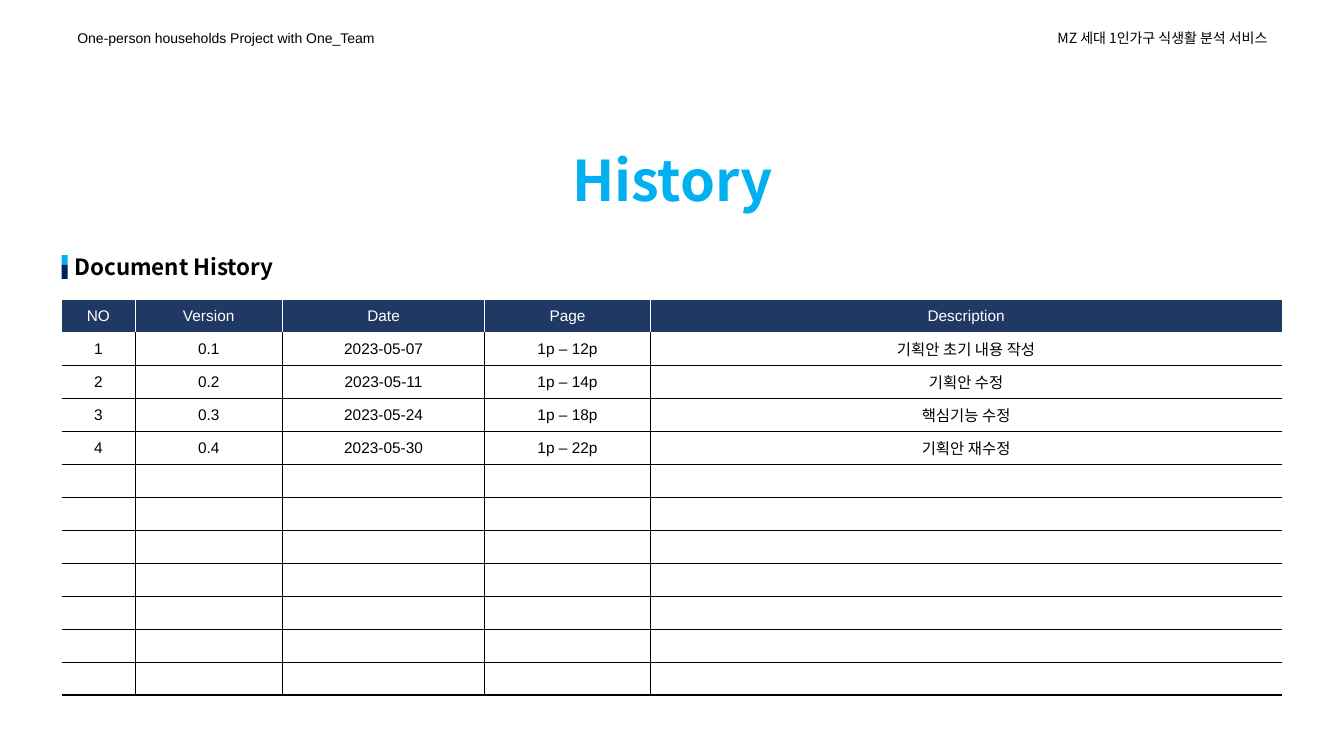
from lxml.etree import SubElement
from pptx import Presentation
from pptx.dml.color import RGBColor
from pptx.enum.shapes import MSO_SHAPE as Shape
from pptx.enum.text import MSO_ANCHOR as Anchor, MSO_AUTO_SIZE as AutoSize, PP_ALIGN as Align
from pptx.oxml import parse_xml
from pptx.oxml.ns import nsdecls, qn
from pptx.util import Pt

COLORS = {"ink": "000000", "paper": "FFFFFF", "header": "203864",
          "sky": "00B0F0", "navy": "002060"}
LATIN, KOREAN = "Arial", "Noto Sans CJK KR"

HEADINGS = ["NO", "Version", "Date", "Page", "Description"]
VERSIONS = [
    ["1", "0.1", "2023-05-07", "1p – 12p", "기획안 초기 내용 작성"],
    ["2", "0.2", "2023-05-11", "1p – 14p", "기획안 수정"],
    ["3", "0.3", "2023-05-24", "1p – 18p", "핵심기능 수정"],
    ["4", "0.4", "2023-05-30", "1p – 22p", "기획안 재수정"],
]
COLUMN_WIDTHS = [52.56, 105.12, 144.72, 118.08, 451.44]
ROW_COUNT, ROW_HEIGHT = 12, 23.58
LEFT = 44


def rgb(name):
    return RGBColor.from_string(COLORS[name])


class SlideBuilder:
    def __init__(self, slide):
        self.slide = slide

    def format_text(self, frame, size, color="ink", font=LATIN, bold=False, align=Align.LEFT):
        para = frame.paragraphs[0]
        para.alignment = align
        for span in para.runs:
            span.font.size = Pt(size)
            span.font.name = font
            span.font.bold = bold
            span.font.color.rgb = rgb(color)
            SubElement(span.font._element, qn("a:ea"), typeface=KOREAN)
        if not para.runs:
            para._p.get_or_add_endParaRPr().set("sz", str(size * 100))

    def fill_box(self, box, text, place, size, **style):
        box.left, box.top, box.width, box.height = map(Pt, place)
        frame = box.text_frame
        frame.text = text
        frame.word_wrap = True
        frame.auto_size = AutoSize.NONE
        frame.vertical_anchor = Anchor.MIDDLE
        self.format_text(frame, size, **style)

    def title(self, text, place, size, **style):
        self.fill_box(self.slide.shapes.title, text, place, size, **style)

    def text(self, text, place, size, **style):
        box = self.slide.shapes.add_textbox(*map(Pt, place))
        self.fill_box(box, text, place, size, **style)

    def bar(self, place, color):
        shape = self.slide.shapes.add_shape(Shape.RECTANGLE, *map(Pt, place))
        shape.shadow.inherit = False
        shape.fill.solid()
        shape.fill.fore_color.rgb = rgb(color)
        shape.line.fill.background()

    def borders(self, cell, edges):
        """Draw the left, right, top and bottom edges, each None or (color, width)."""
        properties = cell._tc.get_or_add_tcPr()
        for index, (side, edge) in enumerate(zip("LRTB", edges)):
            color, width = edge or (None, 0)
            paint = (f'<a:solidFill><a:srgbClr val="{COLORS[color]}"/></a:solidFill>'
                     if edge else "<a:noFill/>")
            properties.insert(index, parse_xml(
                f'<a:ln{side} {nsdecls("a")} w="{Pt(width)}">{paint}</a:ln{side}>'))

    def history_table(self, left, top):
        last_row, last_column = ROW_COUNT - 1, len(COLUMN_WIDTHS) - 1
        table = self.slide.shapes.add_table(
            ROW_COUNT, len(COLUMN_WIDTHS), Pt(left), Pt(top),
            Pt(sum(COLUMN_WIDTHS)), Pt(ROW_COUNT * ROW_HEIGHT)).table
        table.horz_banding = False
        for column, width in zip(table.columns, COLUMN_WIDTHS):
            column.width = Pt(width)
        blank_rows = [[""] * len(HEADINGS)] * (last_row - len(VERSIONS))
        for r, values in enumerate([HEADINGS, *VERSIONS, *blank_rows]):
            table.rows[r].height = Pt(ROW_HEIGHT)
            text_color, fill = ("ink", "paper") if r else ("paper", "header")
            line = (text_color, 0.75)
            for c, value in enumerate(values):
                cell = table.cell(r, c)
                cell.text_frame.text = value
                cell.vertical_anchor = Anchor.MIDDLE
                cell.fill.solid()
                cell.fill.fore_color.rgb = rgb(fill)
                self.format_text(cell.text_frame, 11, text_color, align=Align.CENTER)
                self.borders(cell, [
                    line if c else None,
                    line if c < last_column else None,
                    line if r > 1 else ("paper", 0.75),
                    line if r < last_row else ("ink", 1.5)])


def main():
    deck = Presentation()
    deck.slide_width, deck.slide_height = Pt(960), Pt(540)
    page = SlideBuilder(deck.slides.add_slide(deck.slide_layouts[5]))

    page.text("MZ 세대 1인가구 식생활 분석 서비스", (654.5, 17.3, 257.8, 19.4), 10,
              font=KOREAN, align=Align.RIGHT)
    page.text("One-person households Project with One_Team", (48.2, 17.3, 257.8, 19.4), 10)
    page.title("History", (367.2, 100.1, 226.1, 55.4), 40,
               color="sky", font=KOREAN, bold=True, align=Align.CENTER)

    page.bar((LEFT, 182.2, 4.3, 7.2), "sky")
    page.bar((LEFT, 189.2, 4.3, 10.1), "navy")
    page.text("Document History", (46.1, 177.1, 285.8, 26.6), 16, font=KOREAN, bold=True)
    page.history_table(LEFT, 213.9)

    deck.save("out.pptx")


if __name__ == "__main__":
    main()
